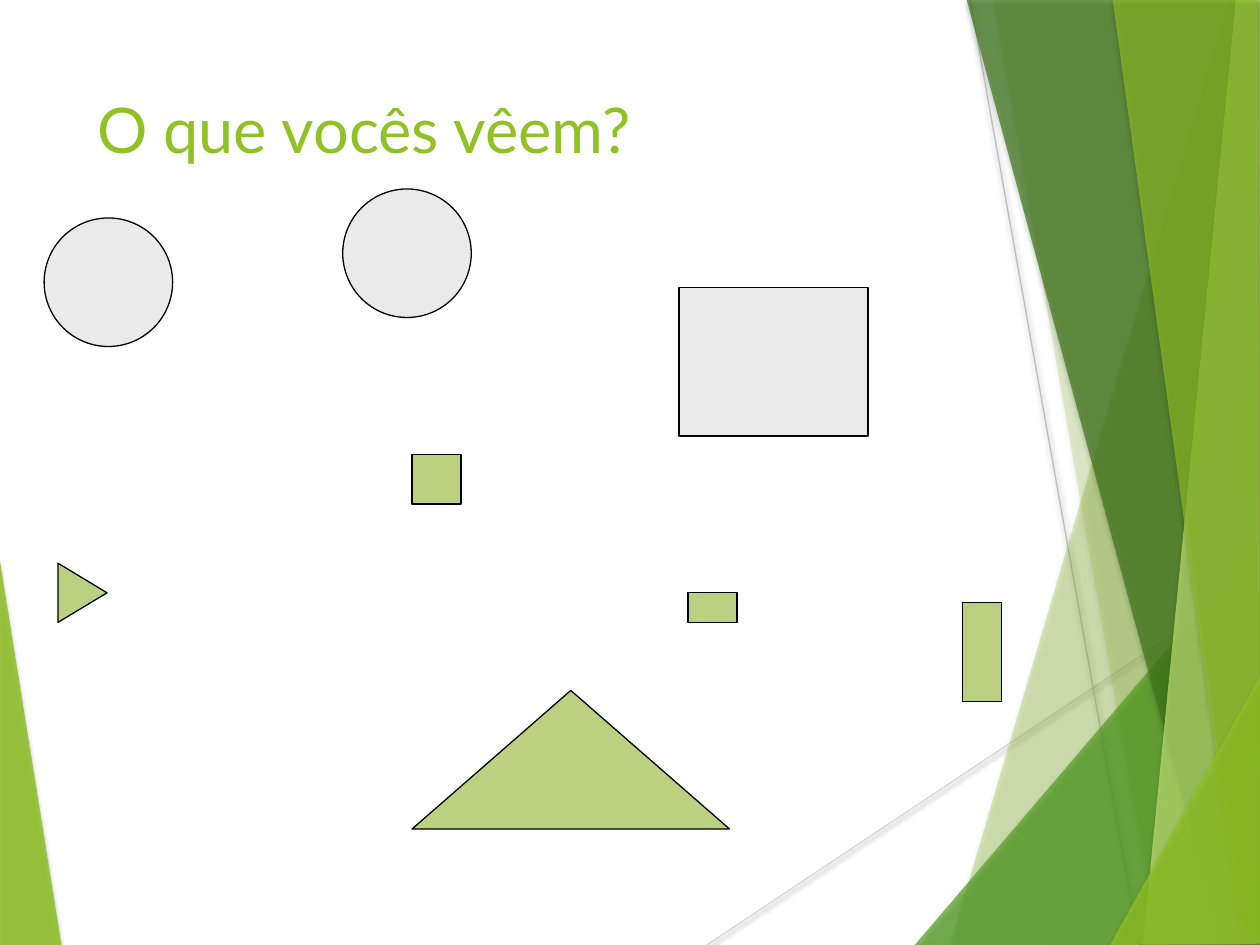
import pptx
import pptx.dml.color
import pptx.enum.shapes
import pptx.enum.text
import pptx.oxml.ns
import pptx.util
from lxml import etree
from pptx.util import Inches

RGBColor = pptx.dml.color.RGBColor
Shape = pptx.enum.shapes.MSO_SHAPE
qn = pptx.oxml.ns.qn

LIME = RGBColor(0x90, 0xC2, 0x26)
GREEN = RGBColor(0x54, 0xA0, 0x21)
DARK_GREEN = RGBColor(0x3F, 0x78, 0x19)
PALE_LIME = RGBColor(0xC0, 0xE4, 0x74)
SAGE = RGBColor(0xB9, 0xD1, 0x81)
LIGHT_GRAY = RGBColor(0xEA, 0xEA, 0xEA)
LINE_GRAY = RGBColor(0xD9, 0xD9, 0xD9)
MID_GRAY = RGBColor(0xBF, 0xBF, 0xBF)
BLACK = RGBColor(0, 0, 0)


def set_opacity(color_element, percent):
    etree.SubElement(color_element, qn("a:alpha")).set("val", str(percent * 1000))


def add_shadow(shape, opacity, blur, distance):
    effects = etree.SubElement(shape._element.spPr, qn("a:effectLst"))
    shadow = etree.SubElement(effects, qn("a:outerShdw"))
    shadow.set("blurRad", str(pptx.util.Pt(blur)))
    shadow.set("dist", str(pptx.util.Pt(distance)))
    shadow.set("dir", "5400000")
    shadow.set("rotWithShape", "0")
    color = etree.SubElement(shadow, qn("a:srgbClr"))
    color.set("val", str(BLACK))
    set_opacity(color, opacity)


presentation = pptx.Presentation()
presentation.slide_width = Inches(10)
presentation.slide_height = Inches(7.5)
slide = presentation.slides.add_slide(presentation.slide_layouts[5])

# Thin lines behind the facets
rays = [
    ((5.61, 7.5), (10.01, 4.57), LINE_GRAY),
    ((7.7, 0), (9.04, 7.5), MID_GRAY),
]
for start, end, color in rays:
    ray = slide.shapes.add_connector(
        pptx.enum.shapes.MSO_CONNECTOR.STRAIGHT,
        *[Inches(value) for value in start + end])
    ray.line.color.rgb = color
    ray.line.width = pptx.util.Pt(0.75)
    add_shadow(ray, 38, 3.1, 1.6)

# Translucent facets: corners, colour, opacity in percent
facets = [
    ([(-0.01, 4.39), (0.49, 7.51), (-0.01, 7.5)], LIME, 85),
    ([(9.75, 0), (7.54, 7.5), (10.02, 7.51), (10.01, 0.01)], LIME, 30),
    ([(7.88, -0.01), (9.19, 7.5), (10.01, 7.5), (10.01, -0.01)], LIME, 20),
    ([(7.26, 7.5), (10, 4.29), (10.01, 7.5)], GREEN, 72),
    ([(7.67, -0.01), (9.7, 7.5), (10.01, 7.49), (10.01, -0.01)], DARK_GREEN, 70),
    ([(9.81, -0.01), (9.07, 7.5), (10.01, 7.5), (10, -0.01)], PALE_LIME, 70),
    ([(8.83, -0.01), (9.86, 7.5), (10, 7.5), (9.98, -0.01)], LIME, 65),
    ([(8.81, 7.5), (10.01, 5.35), (10.01, 7.49)], LIME, 80),
]
for corners, color, opacity in facets:
    points = [(Inches(x), Inches(y)) for x, y in corners]
    builder = slide.shapes.build_freeform(*points[0])
    builder.add_line_segments(points[1:], close=True)
    facet = builder.convert_to_shape()
    facet.fill.solid()
    facet.fill.fore_color.rgb = color
    set_opacity(facet._element.spPr.find(qn("a:solidFill"))[0], opacity)
    facet.line.fill.background()
    add_shadow(facet, 35, 3, 2)

# Title
title = slide.shapes.title
title.left, title.top = Inches(0.67), Inches(0.67)
title.width, title.height = Inches(6.94), Inches(1.44)
title.text_frame.word_wrap = True
title.text_frame.vertical_anchor = pptx.enum.text.MSO_ANCHOR.TOP
paragraph = title.text_frame.paragraphs[0]
paragraph.alignment = pptx.enum.text.PP_ALIGN.LEFT
run = paragraph.add_run()
run.text = "O que vocês vêem?"
run.font.name = "Lato"
run.font.size = pptx.util.Pt(36)
run.font.color.rgb = LIME

# Geometric figures: kind, left, top, width, height, colour, rotation
figures = [
    (Shape.OVAL, 0.35, 1.73, 1.02, 1.02, LIGHT_GRAY, 0),
    (Shape.ISOSCELES_TRIANGLE, 0.42, 4.51, 0.47, 0.39, SAGE, 90),
    (Shape.OVAL, 2.72, 1.5, 1.02, 1.02, LIGHT_GRAY, 0),
    (Shape.RECTANGLE, 3.27, 3.61, 0.39, 0.39, SAGE, 0),
    (Shape.RECTANGLE, 5.39, 2.28, 1.5, 1.18, LIGHT_GRAY, 0),
    (Shape.ISOSCELES_TRIANGLE, 3.27, 5.48, 2.52, 1.1, SAGE, 0),
    (Shape.RECTANGLE, 5.46, 4.7, 0.39, 0.24, SAGE, 0),
    (Shape.RECTANGLE, 7.64, 4.78, 0.31, 0.79, SAGE, 0),
]
for kind, left, top, width, height, color, rotation in figures:
    figure = slide.shapes.add_shape(
        kind, Inches(left), Inches(top), Inches(width), Inches(height))
    figure.rotation = rotation
    figure.fill.solid()
    figure.fill.fore_color.rgb = color
    figure.line.color.rgb = BLACK
    figure.line.width = pptx.util.Pt(0.75)
    figure.shadow.inherit = False

presentation.save("out.pptx")
